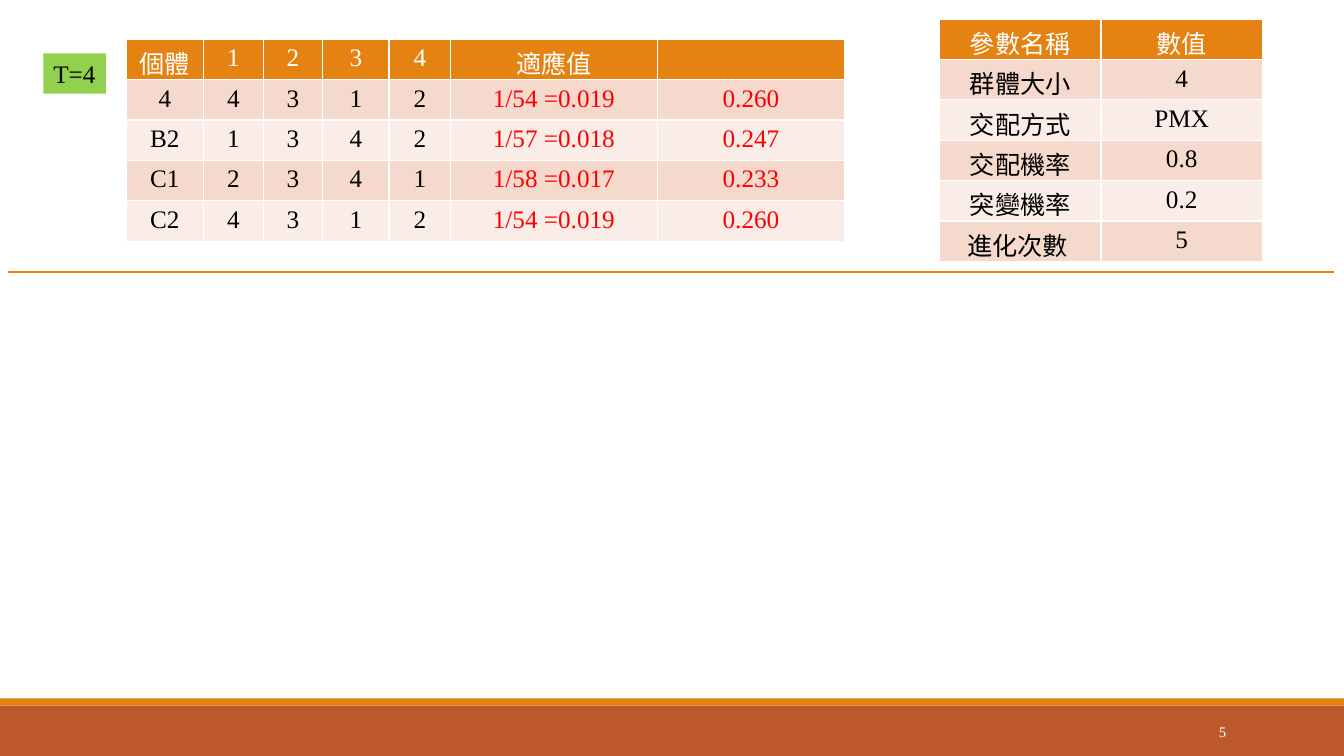
from pptx import Presentation
from pptx.dml.color import RGBColor
from pptx.enum.shapes import MSO_CONNECTOR, MSO_SHAPE
from pptx.enum.text import MSO_ANCHOR, MSO_AUTO_SIZE, PP_ALIGN
from pptx.oxml.ns import qn
from pptx.util import Inches, Pt

FONT = "Times New Roman"
COLORS = {
    "orange": "E48312",
    "rust": "BD582C",
    "green": "92D050",
    "band_dark": "F5D9CC",
    "band_light": "FAEDE7",
    "white": "FFFFFF",
    "black": "000000",
    "red": "FF0000",
}
ROW_HEIGHT = 0.4

FITNESS_ROWS = [
    ["個體", "1", "2", "3", "4", "適應值", ""],
    ["4", "4", "3", "1", "2", "1/54 =0.019", "0.260"],
    ["B2", "1", "3", "4", "2", "1/57 =0.018", "0.247"],
    ["C1", "2", "3", "4", "1", "1/58 =0.017", "0.233"],
    ["C2", "4", "3", "1", "2", "1/54 =0.019", "0.260"],
]
FITNESS_WIDTHS = [0.77, 0.59, 0.59, 0.66, 0.61, 2.05, 1.86]
FITNESS_RED_FROM = 5

PARAMETER_ROWS = [
    ["參數名稱", "數值"],
    ["群體大小", "4"],
    ["交配方式", "PMX"],
    ["交配機率", "0.8"],
    ["突變機率", "0.2"],
    ["進化次數 ", "5"],
]
PARAMETER_WIDTHS = [1.6, 1.6]


def rgb(name):
    return RGBColor.from_string(COLORS[name])


def paint(target, color):
    target.fill.solid()
    target.fill.fore_color.rgb = rgb(color)


def write(tf, text, color, size=18, align=PP_ALIGN.LEFT):
    p = tf.paragraphs[0]
    p.alignment = align
    if text:
        r = p.add_run()
        r.text = text
        for name, value in {"name": FONT, "size": Pt(size), "bold": False}.items():
            setattr(r.font, name, value)
        r.font.color.rgb = rgb(color)


def add_box(s, x, y, w, h, fill):
    sp = s.shapes.add_shape(MSO_SHAPE.RECTANGLE, Inches(x), Inches(y), Inches(w), Inches(h))
    sp.shadow.inherit = False
    paint(sp, fill)
    sp.line.fill.background()
    return sp


def add_generation_label(s, text):
    tf = add_box(s, 0.43, 0.53, 0.62, 0.4, "green").text_frame
    tf.word_wrap = False
    tf.auto_size = MSO_AUTO_SIZE.SHAPE_TO_FIT_TEXT
    write(tf, text, "black")


def add_page_number(s, text):
    tf = s.shapes.add_textbox(Inches(10.83), Inches(7.06), Inches(1.43), Inches(0.4)).text_frame
    tf.word_wrap = True
    tf.vertical_anchor = MSO_ANCHOR.MIDDLE
    write(tf, text, "white", 10.5, PP_ALIGN.RIGHT)


def add_banded_table(s, x, y, widths, rows, red_from=None):
    """Add a table whose body cells are red from column red_from on."""
    red_from = len(widths) if red_from is None else red_from
    table = s.shapes.add_table(
        len(rows), len(widths), Inches(x), Inches(y),
        Inches(sum(widths)), Inches(ROW_HEIGHT * len(rows)),
    ).table
    for column, width in zip(table.columns, widths):
        column.width = Inches(width)
    for i, row in enumerate(rows):
        table.rows[i].height = Inches(ROW_HEIGHT)
        fill = "orange" if i == 0 else "band_dark" if i % 2 else "band_light"
        for j, text in enumerate(row):
            color = "white" if i == 0 else "red" if j >= red_from else "black"
            cell = table.cell(i, j)
            paint(cell, fill)
            write(cell.text_frame, text, color, align=PP_ALIGN.CENTER)


def add_divider(s, y):
    line = s.shapes.add_connector(
        MSO_CONNECTOR.STRAIGHT, Inches(0.08), Inches(y), Inches(13.23), Inches(y))
    line.line.color.rgb = rgb("orange")
    line.line.width = Pt(1)
    spPr = line._element.spPr
    spPr.append(spPr.makeelement(qn("a:effectLst"), {}))


def main():
    prs = Presentation()
    prs.slide_width, prs.slide_height = Inches(13.33), Inches(7.5)
    s = prs.slides.add_slide(prs.slide_layouts[6])
    add_box(s, 0, 7, 13.33, 0.5, "rust")
    add_box(s, 0, 6.93, 13.33, 0.07, "orange")
    add_page_number(s, "5")
    add_generation_label(s, "T=4")
    add_banded_table(s, 1.25, 0.39, FITNESS_WIDTHS, FITNESS_ROWS, FITNESS_RED_FROM)
    add_banded_table(s, 9.32, 0.19, PARAMETER_WIDTHS, PARAMETER_ROWS)
    add_divider(s, 2.7)
    prs.save("out.pptx")


if __name__ == "__main__":
    main()
